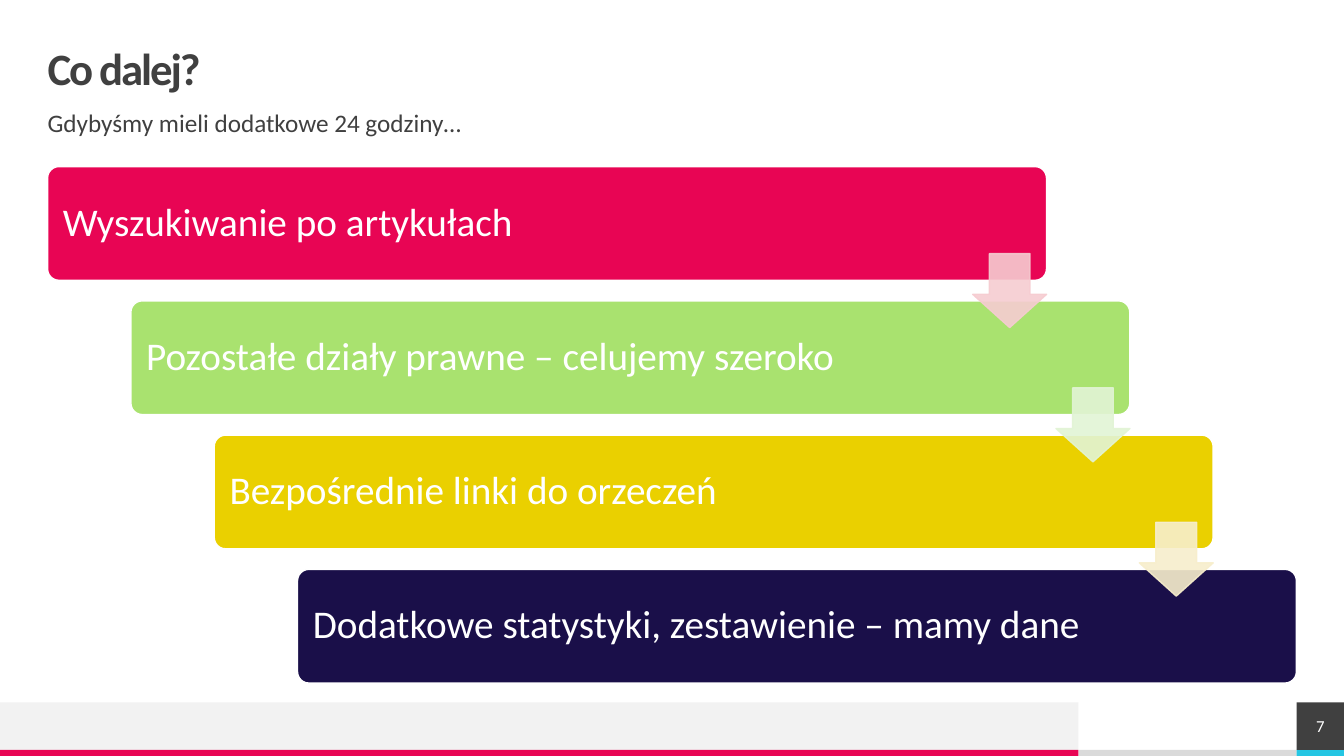
from lxml.etree import SubElement
from pptx import Presentation
from pptx.dml.color import RGBColor
from pptx.enum.shapes import MSO_SHAPE as Preset
from pptx.enum.text import MSO_ANCHOR as Anchor, PP_ALIGN as Align
from pptx.oxml.ns import qn
from pptx.util import Pt

COLORS = {
    "dark": "404040",
    "white": "FFFFFF",
    "footer": "F2F2F2",
    "gray": "DADADA",
    "pink": "E80554",
    "cyan": "25C6E3",
    "green": "A9E26F",
    "yellow": "EAD000",
    "navy": "1A0F49",
    "pale pink": "F6CCD1",
    "pale green": "E2F4D5",
    "pale yellow": "F7EECC",
}

deck = Presentation()
deck.slide_width, deck.slide_height = Pt(960), Pt(540)
page = deck.slides.add_slide(deck.slide_layouts[6])


def add_block(preset, left, top, width, height, color, line=None, opacity=100):
    block = page.shapes.add_shape(preset, Pt(left), Pt(top), Pt(width), Pt(height))
    block.shadow.inherit = False
    fills = [block.fill]
    if line:
        block.line.width = Pt(1)
        fills.append(block.line.fill)
    else:
        block.line.fill.background()
    for fill, name in zip(fills, (color, line)):
        fill.solid()
        fill.fore_color.rgb = RGBColor.from_string(COLORS[name])
    if opacity < 100:
        for tint in block._element.spPr.iter(qn("a:srgbClr")):
            SubElement(tint, qn("a:alpha"), val=str(opacity * 1000))
    return block


def write(box, text, size, color="white", bold=False, align=Align.LEFT,
          anchor=Anchor.MIDDLE, inset=0, spacing=0.9, tracking=None):
    """Fill a shape or text box with one formatted paragraph."""
    frame = box.text_frame
    frame.word_wrap = True
    frame.vertical_anchor = anchor
    frame.margin_left = frame.margin_right = Pt(inset)
    frame.margin_top = frame.margin_bottom = Pt(inset)
    para = frame.paragraphs[0]
    para.alignment = align
    para.line_spacing = spacing
    span = para.add_run()
    span.text = text
    span.font.name = "Calibri"
    span.font.size = Pt(size)
    span.font.bold = bold
    span.font.color.rgb = RGBColor.from_string(COLORS[color])
    if tracking:
        span._r.get_or_add_rPr().set("spc", str(int(tracking * 100)))


# Footer
for left, top, width, height, color in (
    (770.4, 535.7, 155.8, 4.3, "gray"),
    (0, 501.8, 770.4, 33.9, "footer"),
    (0, 535.7, 770.4, 4.3, "pink"),
    (926.2, 535.7, 33.8, 4.3, "cyan"),
):
    add_block(Preset.RECTANGLE, left, top, width, height, color)
number = add_block(Preset.RECTANGLE, 926.2, 501.8, 33.8, 33.9, "dark")
write(number, "7", 12, align=Align.CENTER, spacing=1)
number.text_frame.paragraphs[0].space_after = Pt(6)

# Headings
title = page.shapes.add_textbox(Pt(34), Pt(34), Pt(892), Pt(34))
write(title, "Co dalej?", 32, color="dark", bold=True, tracking=-1.5)
subtitle = page.shapes.add_textbox(Pt(34), Pt(79.2), Pt(892), Pt(28))
write(subtitle, "Gdybyśmy mieli dodatkowe 24 godziny…", 18, color="dark",
      anchor=Anchor.TOP)

# Staircase of next steps
STEP_X, STEP_Y = 59.5, 95.9
steps = (
    ("Wyszukiwanie po artykułach", "pink"),
    ("Pozostałe działy prawne – celujemy szeroko", "green"),
    ("Bezpośrednie linki do orzeczeń", "yellow"),
    ("Dodatkowe statystyki, zestawienie – mamy dane", "navy"),
)
for i, (text, color) in enumerate(steps):
    band = add_block(Preset.ROUNDED_RECTANGLE, 34 + i * STEP_X, 119 + i * STEP_Y,
                     713.5, 81.2, color, line="white")
    band.adjustments[0] = 0.1
    write(band, text, 28, inset=8.6)

for i, color in enumerate(("pale pink", "pale green", "pale yellow")):
    arrow = add_block(Preset.DOWN_ARROW, 694.8 + i * STEP_X, 181.2 + i * STEP_Y,
                      52.8, 52.8, color, line=color, opacity=90)
    arrow.adjustments[0] = 0.55
    arrow.adjustments[1] = 0.45

deck.save("out.pptx")
